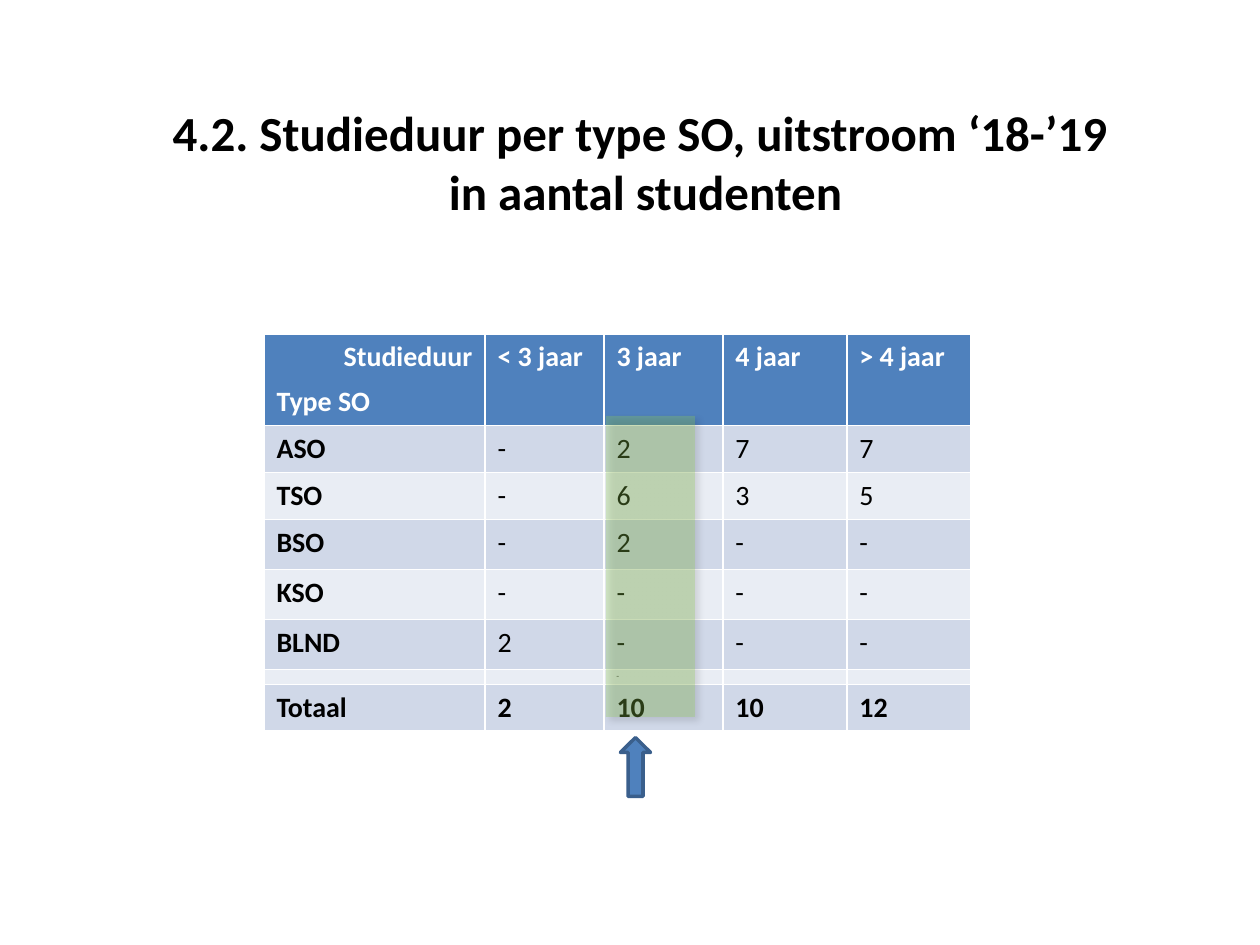
import pptx
import pptx.dml.color
import pptx.enum.shapes
import pptx.enum.text
import pptx.oxml
import pptx.oxml.ns
import pptx.util
from lxml import etree

PX = 914400 // 126
FONT = "Calibri"
ALIGN = pptx.enum.text.PP_ALIGN
SHAPE = pptx.enum.shapes.MSO_SHAPE
qn = pptx.oxml.ns.qn

TITLE = ["4.2. Studieduur per type SO, uitstroom ‘18-’19 ", "in aantal studenten"]
HEADER = ["Studieduur", "< 3 jaar", "3 jaar", "4 jaar", "> 4 jaar"]
ROWS = [
    ["ASO", "-", "2", "7", "7"],
    ["TSO", "-", "6", "3", "5"],
    ["BSO", "-", "2", "-", "-"],
    ["KSO", "-", "-", "-", "-"],
    ["BLND", "2", "-", "-", "-"],
    ["", "", "111", "", ""],
    ["Totaal", "2", "10", "10", "12"],
]
SPACER_ROW, TOTAL_ROW = 6, 7
COL_WIDTHS = [221, 119, 119, 124, 124]
ROW_HEIGHTS = [89, 47, 46, 50, 50, 50, 15, 45]


def px(*lengths):
    return [pptx.util.Emu(n * PX) for n in lengths]


def rgb(value):
    return pptx.dml.color.RGBColor.from_string(value)


def solid(fill, color):
    fill.solid()
    fill.fore_color.rgb = rgb(color)


def add_run(p, text, size, color="000000", bold=False):
    r = p.add_run()
    r.text = text
    r.font.name = FONT
    r.font.size = pptx.util.Pt(size)
    r.font.bold = bold
    r.font.color.rgb = rgb(color)


def fill_title(sp, box):
    sp.left, sp.top, sp.width, sp.height = px(*box)
    tf = sp.text_frame
    tf.auto_size = pptx.enum.text.MSO_AUTO_SIZE.NONE
    tf.vertical_anchor = pptx.enum.text.MSO_ANCHOR.TOP
    for i, line in enumerate(TITLE):
        p = tf.add_paragraph() if i else tf.paragraphs[0]
        p.alignment = ALIGN.CENTER
        add_run(p, line, 28, bold=True)


def fill_cell(cell, text, row, col):
    header = row == 0
    solid(cell.fill, "4F81BD" if header else ("E9EDF4", "D0D8E8")[row % 2])
    size = 1 if row == SPACER_ROW else 16
    p = cell.text_frame.paragraphs[0]
    if text:
        bold = header or col == 0 or row in (SPACER_ROW, TOTAL_ROW)
        add_run(p, text, size, "FFFFFF" if header else "000000", bold)
    else:
        etree.SubElement(p._p, qn("a:endParaRPr"), sz=str(size * 100))


def add_duration_table(slide, x, y):
    box = px(x, y, sum(COL_WIDTHS), sum(ROW_HEIGHTS))
    table = slide.shapes.add_table(len(ROW_HEIGHTS), len(COL_WIDTHS), *box).table
    for column, width in zip(table.columns, px(*COL_WIDTHS)):
        column.width = width
    for row, height in zip(table.rows, px(*ROW_HEIGHTS)):
        row.height = height
    for i, texts in enumerate([HEADER] + ROWS):
        for j, text in enumerate(texts):
            fill_cell(table.cell(i, j), text, i, j)

    corner = table.cell(0, 0).text_frame
    corner.paragraphs[0].alignment = ALIGN.RIGHT
    p = corner.add_paragraph()
    p.space_before = pptx.util.Pt(6)
    add_run(p, "Type SO", 16, "FFFFFF", True)


def add_highlight(slide, box):
    """Translucent band with a soft shadow over the three-year column."""
    sp = slide.shapes.add_shape(SHAPE.RECTANGLE, *px(*box))
    solid(sp.fill, "92D050")
    sp.line.fill.background()
    color = sp.fill._xPr.find(qn("a:solidFill"))[0]
    etree.SubElement(color, qn("a:alpha"), val="29000")
    sp.shadow.inherit = False
    effects = sp._element.spPr.find(qn("a:effectLst"))
    shadow = etree.SubElement(
        effects, qn("a:outerShdw"), blurRad=str(pptx.util.Pt(4)),
        dist=str(pptx.util.Pt(3)), dir=str(45 * 60000), rotWithShape="0")
    black = etree.SubElement(shadow, qn("a:srgbClr"), val="000000")
    etree.SubElement(black, qn("a:alpha"), val="40000")


def add_up_arrow(slide, box):
    sp = slide.shapes.add_shape(SHAPE.LEFT_ARROW, *px(*box))
    sp.rotation = 90
    sp.shadow.inherit = False
    solid(sp.fill, "4F81BD")
    solid(sp.line.fill, "3A5F8C")
    sp.line.width = pptx.util.Pt(2)


def main():
    prs = pptx.Presentation()
    prs.slide_width, prs.slide_height = px(1260, 945)
    slide = prs.slides.add_slide(prs.slide_layouts[5])
    fill_title(slide.shapes.title, (25, 96, 1241, 131))
    add_duration_table(slide, 264, 334)
    add_highlight(slide, (606, 416, 89, 301))
    add_up_arrow(slide, (606, 752, 59, 30))
    prs.save("out.pptx")


if __name__ == "__main__":
    main()
